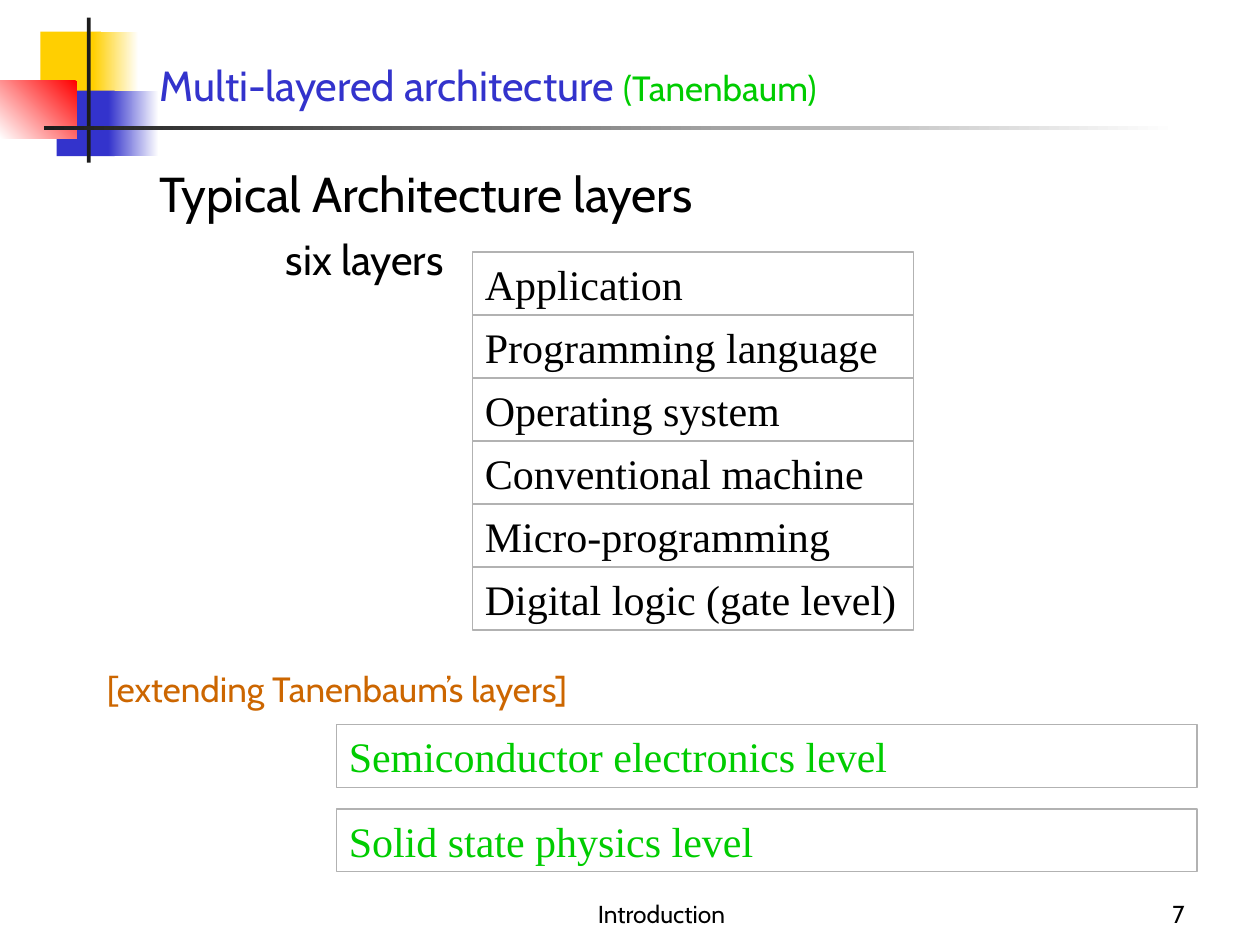
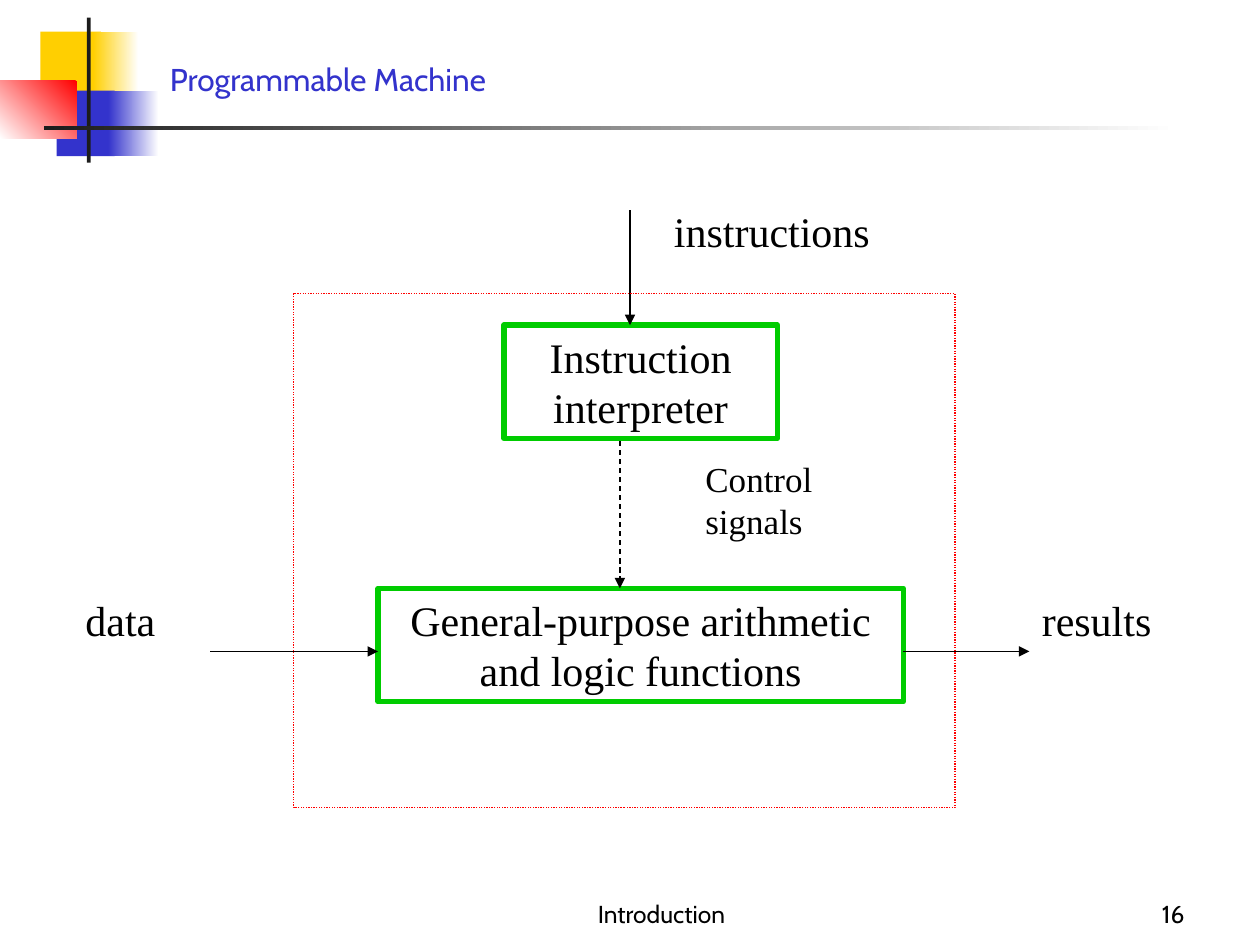
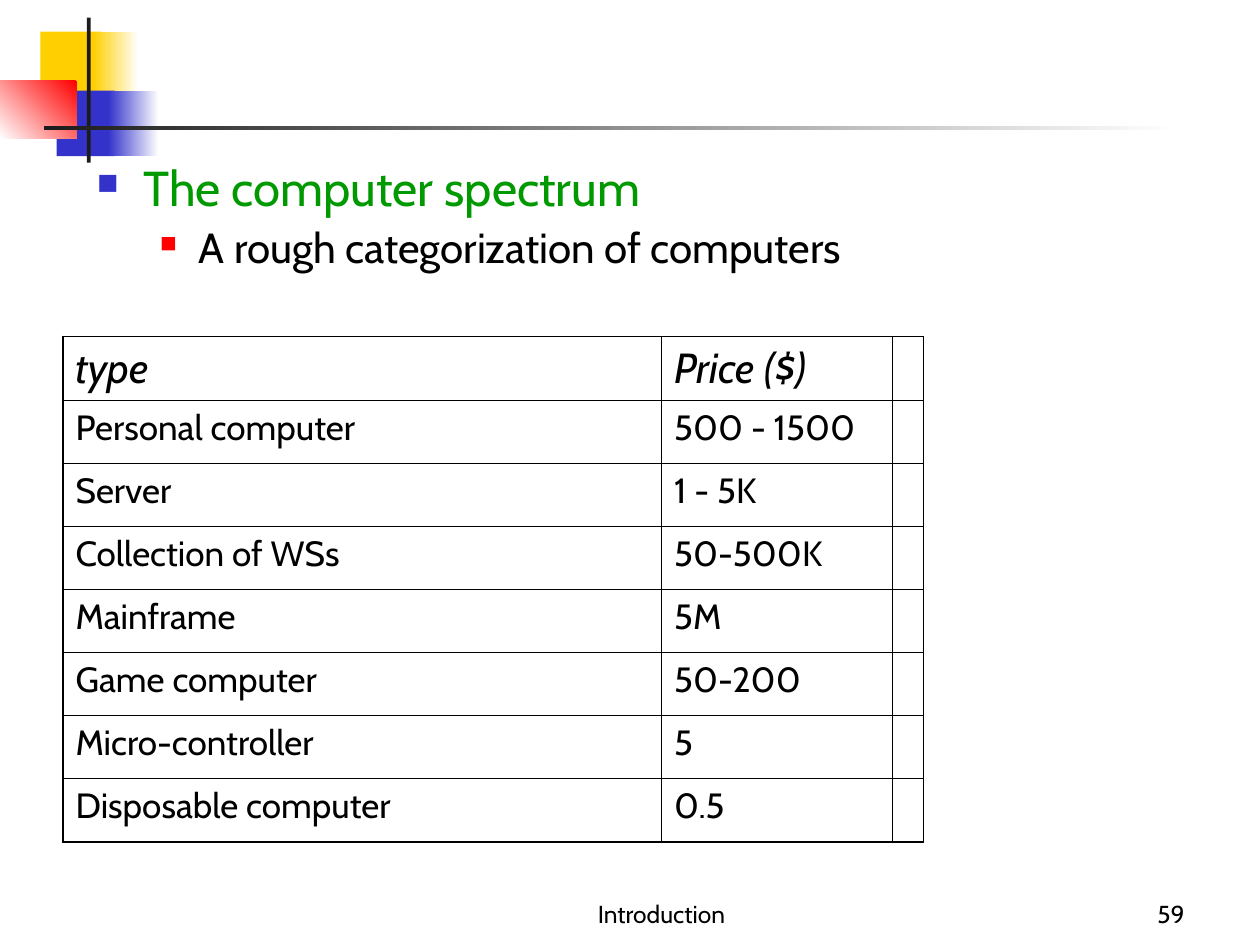
from lxml import etree
from pptx import Presentation
from pptx import util as u
from pptx.dml import color
from pptx.enum import dml, shapes, text
from pptx.oxml import ns

BLACK, WHITE, BLUE, GREEN = "000000", "FFFFFF", "3333CC", "00CC00"
YELLOW, RED, CHARCOAL, GRAY = "FFCF01", "FF0000", "1C1C1C", "B2B2B2"
SANS, SERIF = "Cabin", "Times New Roman"

STYLES = {
    "footer": (SANS, 14, BLACK),
    "title": (SANS, 24, BLUE),
    "small title": (SANS, 18, BLUE),
    "title note": (SANS, 20, GREEN),
    "heading": (SANS, 28, BLACK),
    "green heading": (SANS, 28, "009900"),
    "subheading": (SANS, 24, BLACK),
    "remark": (SANS, 20, "CC6600"),
    "cell": (SANS, 20, BLACK),
    "label": (SERIF, 24, BLACK),
    "small label": (SERIF, 20, BLACK),
    "extra label": (SERIF, 24, GREEN),
}
DECORATIONS = [
    ((0.32, 0.25, 0.48, 0.52), YELLOW, YELLOW, 0),
    ((0.74, 0.25, 0.36, 0.52), WHITE, YELLOW, 180),
    ((0.45, 0.72, 0.46, 0.52), BLUE, BLUE, 0),
    ((0.86, 0.72, 0.4, 0.52), WHITE, BLUE, 180),
    ((0, 0.64, 0.61, 0.46), RED, WHITE, 225),
    ((0.69, 0.14, 0.03, 1.15), CHARCOAL, CHARCOAL, 0),
    ((0.35, 1, 9, 0.03), WHITE, CHARCOAL, 180),
]


def rgb(value):
    return color.RGBColor.from_string(value)


def write(frame, paragraphs, anchor=text.MSO_ANCHOR.TOP):
    frame.word_wrap = True
    frame.vertical_anchor = anchor
    for index, (runs, formats) in enumerate(paragraphs):
        paragraph = frame.add_paragraph() if index else frame.paragraphs[0]
        for name, value in formats.items():
            setattr(paragraph, name, value)
        for words, style in runs:
            run = paragraph.add_run()
            run.text = words
            font_name, size, colour = STYLES[style]
            for name, value in {"name": font_name, "size": u.Pt(size)}.items():
                setattr(run.font, name, value)
            run.font.color.rgb = rgb(colour)


presentation = Presentation()
presentation.slide_width = u.Inches(10)
presentation.slide_height = u.Inches(7.5)
left, center, right = text.PP_ALIGN.LEFT, text.PP_ALIGN.CENTER, text.PP_ALIGN.RIGHT

for number in ("7", "16", "59"):
    slide = presentation.slides.add_slide(presentation.slide_layouts[6])
    for position, start, end, angle in DECORATIONS:
        shape = slide.shapes.add_shape(shapes.MSO_SHAPE.RECTANGLE, *map(u.Inches, position))
        shape.shadow.inherit = False
        shape.line.fill.background()
        if start == end:
            shape.fill.solid()
            shape.fill.fore_color.rgb = rgb(start)
        else:
            shape.fill.gradient()
            shape.fill.gradient_angle = angle
            for stop, colour in zip(shape.fill.gradient_stops, (start, end)):
                stop.color.rgb = rgb(colour)
    for position, words, alignment in [
        ((3.67, 6.92, 3.16, 0.5), "Introduction", center),
        ((7.42, 6.92, 2.08, 0.5), number, right),
    ]:
        footer = slide.shapes.add_textbox(*map(u.Inches, position))
        write(footer.text_frame, [([(words, "footer")], {"alignment": alignment})],
              text.MSO_ANCHOR.BOTTOM)

layers_slide, machine_slide, spectrum_slide = presentation.slides

body = layers_slide.shapes.add_textbox(*map(u.Inches, (1.17, 0.42, 6.33, 1.92)))
write(body.text_frame, [
    ([("Multi-layered architecture ", "title"), ("(Tanenbaum)", "title note")], {}),
    ([("Typical Architecture layers", "heading")], {"space_before": u.Pt(31)}),
    ([("six layers", "subheading")], {"space_before": u.Pt(6)}),
])
body.text_frame.paragraphs[2]._p.get_or_add_pPr().set("marL", str(u.Inches(1)))

layers = ["Application", "Programming language", "Operating system",
          "Conventional machine", "Micro-programming", "Digital logic (gate level)"]
extra_layers = ["Semiconductor electronics level", "Solid state physics level"]
boxes = [(layers_slide, (3.75, 2 + 0.5 * row, 3.5, 0.5), name, "label", left, GRAY, 0.75)
         for row, name in enumerate(layers)]
boxes += [(layers_slide, (2.67, 5.75 + 0.67 * row, 6.83, 0.5), name, "extra label", left, GRAY, 0.75)
          for row, name in enumerate(extra_layers)]
boxes += [
    (machine_slide, (4, 2.58, 2.17, 0.9), "Instruction interpreter", "label", center, GREEN, 3),
    (machine_slide, (3, 4.67, 4.17, 0.9), "General-purpose arithmetic and logic functions",
     "label", center, GREEN, 3),
]
for slide, position, words, style, alignment, colour, width in boxes:
    box = slide.shapes.add_shape(shapes.MSO_SHAPE.RECTANGLE, *map(u.Inches, position))
    box.shadow.inherit = False
    box.fill.background()
    box.line.color.rgb = rgb(colour)
    box.line.width = u.Pt(width)
    write(box.text_frame, [([(words, style)], {"alignment": alignment})])

for slide, position, words, style in [
    (layers_slide, (0.75, 5.25, 4.25, 0.77), "[extending Tanenbaum’s layers]", "remark"),
    (machine_slide, (1.25, 0.43, 8.08, 0.38), "Programmable Machine", "small title"),
    (machine_slide, (5.25, 1.58, 2.58, 0.5), "instructions", "label"),
    (machine_slide, (0.58, 4.67, 1.5, 0.5), "data", "label"),
    (machine_slide, (8.17, 4.67, 1.58, 0.5), "results", "label"),
    (machine_slide, (5.5, 3.58, 1.5, 0.77), "Control signals", "small label"),
]:
    label = slide.shapes.add_textbox(*map(u.Inches, position))
    write(label.text_frame, [([(words, style)], {})])

for ends, dash in [
    ((5, 1.67, 5, 2.58), None),
    ((4.92, 3.5, 4.92, 4.67), dml.MSO_LINE.DASH),
    ((1.67, 5.17, 3, 5.17), None),
    ((7.17, 5.17, 8.17, 5.17), None),
]:
    arrow = machine_slide.shapes.add_connector(shapes.MSO_CONNECTOR.STRAIGHT, *map(u.Inches, ends))
    arrow.line.color.rgb = rgb(BLACK)
    arrow.line.width = u.Pt(0.75)
    arrow.line.dash_style = dash
    properties = arrow._element.spPr
    etree.SubElement(properties.find(ns.qn("a:ln")), ns.qn("a:tailEnd"), type="triangle")
    etree.SubElement(properties, ns.qn("a:effectLst"))

machine_border = machine_slide.shapes.add_shape(
    shapes.MSO_SHAPE.RECTANGLE, *map(u.Inches, (2.33, 2.33, 5.25, 4.08)))
machine_border.shadow.inherit = False
machine_border.fill.background()
machine_border.line.color.rgb = rgb(RED)
machine_border.line.width = u.Pt(0.75)
machine_border.line.dash_style = dml.MSO_LINE.ROUND_DOT

outline = spectrum_slide.shapes.add_textbox(*map(u.Inches, (0.67, 1.25, 8.92, 1.25)))
write(outline.text_frame, [
    ([("The computer spectrum", "green heading")], {"line_spacing": 0.9}),
    ([("A rough categorization of computers", "subheading")],
     {"line_spacing": 0.9, "space_before": u.Pt(6), "level": 1}),
])
bullets = [(0.37, 0.37, BLUE, 60), (0.81, 0.31, RED, 55)]
for paragraph, (margin, hanging, colour, percent) in zip(outline.text_frame.paragraphs, bullets):
    properties = paragraph._p.get_or_add_pPr()
    properties.set("marL", str(u.Inches(margin)))
    properties.set("indent", str(-u.Inches(hanging)))
    bullet_colour = etree.SubElement(properties, ns.qn("a:buClr"))
    etree.SubElement(bullet_colour, ns.qn("a:srgbClr"), val=colour)
    etree.SubElement(properties, ns.qn("a:buSzPct"), val=str(percent * 1000))
    etree.SubElement(properties, ns.qn("a:buChar"), char="■")

prices = [
    ("type", "Price ($)", ""),
    ("Personal computer", "500 - 1500", ""),
    ("Server", "1 - 5K", ""),
    ("Collection of WSs", "50-500K", ""),
    ("Mainframe", "5M", ""),
    ("Game computer", "50-200", ""),
    ("Micro-controller", "5", ""),
    ("Disposable computer", "0.5", ""),
]
column_widths = (4.75, 1.83, 0.25)
last_row, last_column = len(prices) - 1, len(column_widths) - 1
table = spectrum_slide.shapes.add_table(
    len(prices), len(column_widths), *map(u.Inches, (0.5, 2.67, 6.83, 4.01))).table
table.first_row = False
table.horz_banding = False
for column, width in zip(table.columns, column_widths):
    column.width = u.Inches(width)
for row_index, values in enumerate(prices):
    table.rows[row_index].height = u.Inches(0.5 if row_index else 0.51)
    for column_index, value in enumerate(values):
        cell = table.cell(row_index, column_index)
        properties = cell._tc.get_or_add_tcPr()
        for side, outer in [
            ("L", column_index == 0),
            ("R", column_index == last_column),
            ("T", row_index == 0),
            ("B", row_index == last_row),
        ]:
            border = etree.SubElement(properties, ns.qn("a:ln" + side),
                                      w=str(u.Pt(1.08 if outer else 0.45)))
            border_fill = etree.SubElement(border, ns.qn("a:solidFill"))
            etree.SubElement(border_fill, ns.qn("a:srgbClr"), val=BLACK)
        cell.fill.background()
        if value:
            write(cell.text_frame, [([(value, "cell" if row_index else "subheading")], {})])
            cell.text_frame.paragraphs[0].runs[0].font.italic = row_index == 0

presentation.save("out.pptx")
